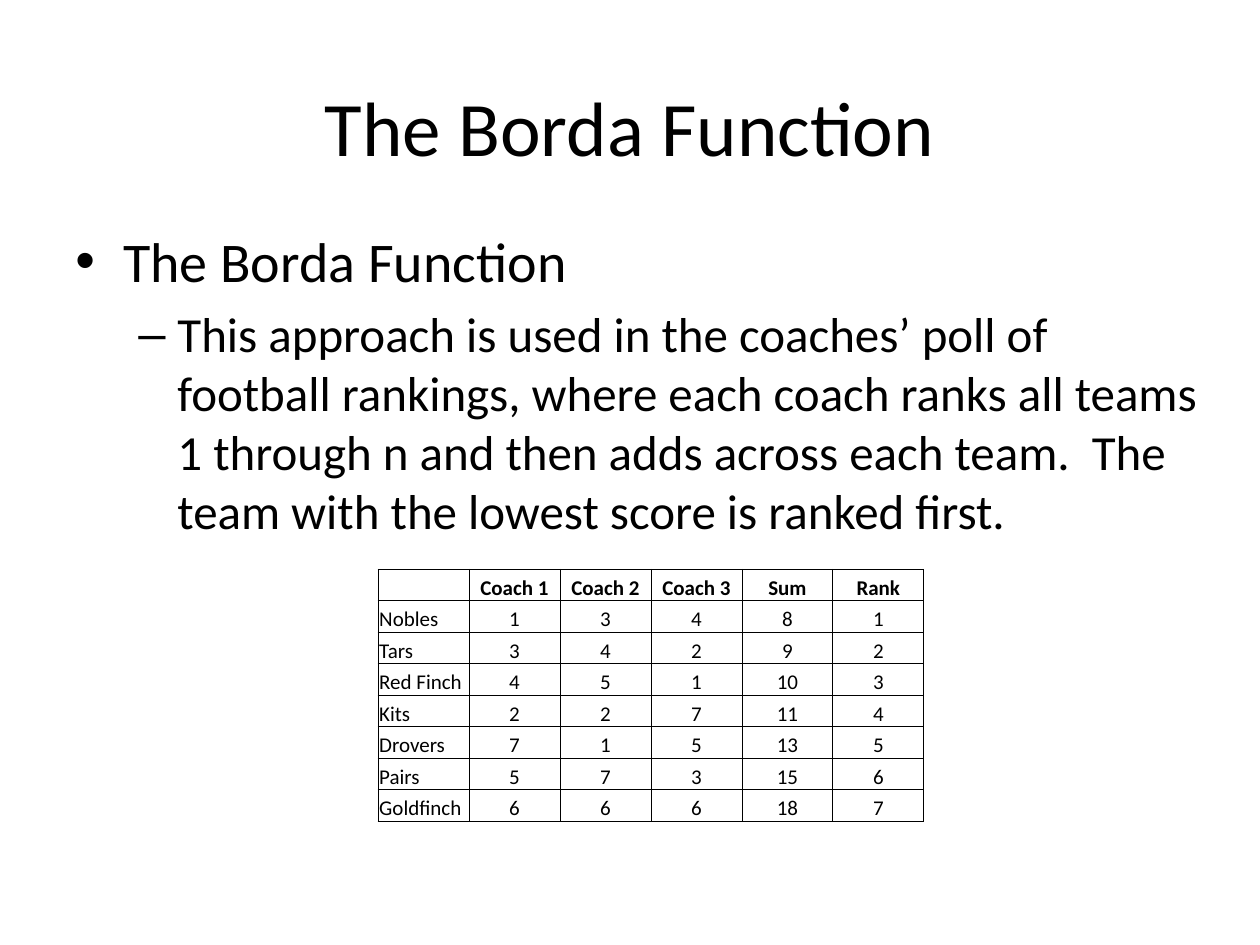
"""Build the Borda Function slide with its ranking table."""
import pptx
import pptx.dml.color
import pptx.enum.text
import pptx.oxml.ns
import pptx.util
from lxml import etree

WIDTH, HEIGHT = pptx.util.Inches(10), pptx.util.Inches(7.5)
COLUMNS, ROWS = 120, 60
FONT, INK = "Calibri", "000000"
ALIGN = pptx.enum.text.PP_ALIGN
ANCHOR = pptx.enum.text.MSO_ANCHOR

APPROACH = (
    "This approach is used in the coaches’ poll of football rankings, where each coach "
    "ranks all teams 1 through n and then adds across each team.  The team with the "
    "lowest score is ranked first."
)
RANKINGS = [
    ["", "Coach 1", "Coach 2", "Coach 3", "Sum", "Rank"],
    ["Nobles", 1, 3, 4, 8, 1],
    ["Tars", 3, 4, 2, 9, 2],
    ["Red Finch", 4, 5, 1, 10, 3],
    ["Kits", 2, 2, 7, 11, 4],
    ["Drovers", 7, 1, 5, 13, 5],
    ["Pairs", 5, 7, 3, 15, 6],
    ["Goldfinch", 6, 6, 6, 18, 7],
]


def grid(left, top, width, height):
    """Turn grid columns and rows into slide lengths."""
    across, down = WIDTH / COLUMNS, HEIGHT / ROWS
    return [int(n) for n in (left * across, top * down, width * across, height * down)]


def color(hex_code):
    """Return a colour from a hex string."""
    return pptx.dml.color.RGBColor.from_string(hex_code)


def add_xml(parent, tag, **attributes):
    """Append a namespaced child element with attributes."""
    return etree.SubElement(parent, pptx.oxml.ns.qn(tag), attributes)


def write(para, text, size, align=ALIGN.LEFT, bold=False):
    """Set the text of a paragraph and format its spans."""
    para.text = text
    para.alignment = align
    for span in para.runs:
        span.font.name, span.font.size, span.font.bold = FONT, pptx.util.Pt(size), bold
        span.font.color.rgb = color(INK)
    if not text:
        add_xml(para._p, "a:endParaRPr", sz=str(size * 100))


def add_text_box(page, area, anchor):
    """Add a wrapping text box and return its text frame."""
    frame = page.shapes.add_textbox(*grid(*area)).text_frame
    frame.word_wrap = True
    frame.vertical_anchor = anchor
    return frame


def add_bullet(para, text, size, mark, indent, hanging):
    """Write a bulleted paragraph with a hanging indent in inches."""
    write(para, text, size)
    para.space_before = pptx.util.Pt(size * 0.2)
    properties = para._p.get_or_add_pPr()
    properties.set("marL", str(pptx.util.Inches(indent)))
    properties.set("indent", str(-pptx.util.Inches(hanging)))
    add_xml(properties, "a:buFont", typeface="Arial")
    add_xml(properties, "a:buChar", char=mark)


def style_cell(cell):
    """Give a cell thin borders, no fill and tight margins."""
    cell.margin_left = cell.margin_right = cell.margin_top = pptx.util.Inches(0.01)
    cell.margin_bottom = 0
    cell.vertical_anchor = ANCHOR.BOTTOM
    properties = cell._tc.get_or_add_tcPr()
    for side in ("a:lnL", "a:lnR", "a:lnT", "a:lnB"):
        line = add_xml(properties, side, w=str(pptx.util.Pt(0.5)))
        add_xml(add_xml(line, "a:solidFill"), "a:srgbClr", val=INK)
    cell.fill.background()


def add_rankings(page, area):
    """Add the table of rankings."""
    table = page.shapes.add_table(len(RANKINGS), len(RANKINGS[0]), *grid(*area)).table
    table.horz_banding = False
    for row, values in enumerate(RANKINGS):
        for column, value in enumerate(values):
            cell = table.cell(row, column)
            style_cell(cell)
            align = ALIGN.CENTER if column else ALIGN.LEFT
            write(cell.text_frame.paragraphs[0], str(value), 12, align, row == 0)


def main():
    """Build and save the deck."""
    deck = pptx.Presentation()
    deck.slide_width, deck.slide_height = WIDTH, HEIGHT
    page = deck.slides.add_slide(deck.slide_layouts[6])
    title = add_text_box(page, (6, 3, 108, 10), ANCHOR.MIDDLE)
    write(title.paragraphs[0], "The Borda Function", 44, ALIGN.CENTER)
    body = add_text_box(page, (6, 14, 110, 39.6), ANCHOR.TOP)
    add_bullet(body.paragraphs[0], "The Borda Function", 32, "•", 0.38, 0.38)
    add_bullet(body.add_paragraph(), APPROACH, 28, "–", 0.81, 0.31)
    add_rankings(page, (36, 36.15, 52, 16))
    deck.save("out.pptx")


if __name__ == "__main__":
    main()
